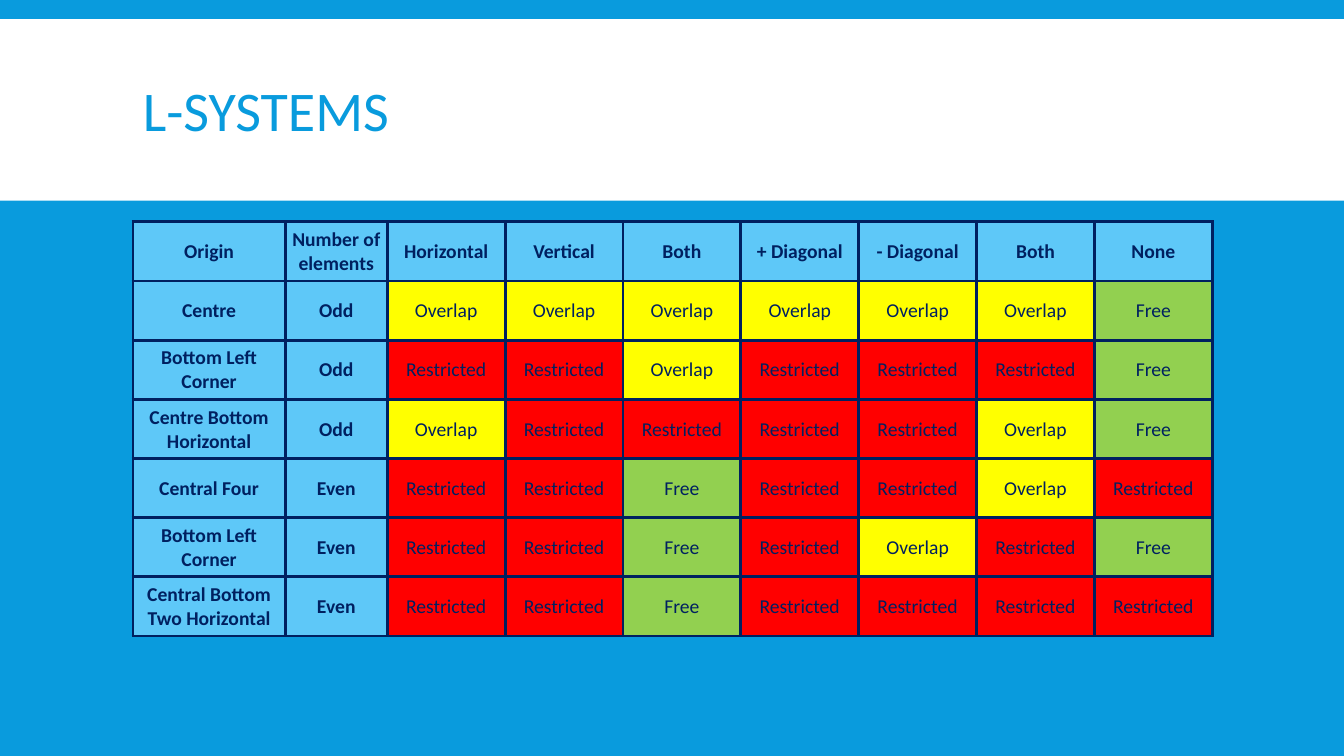
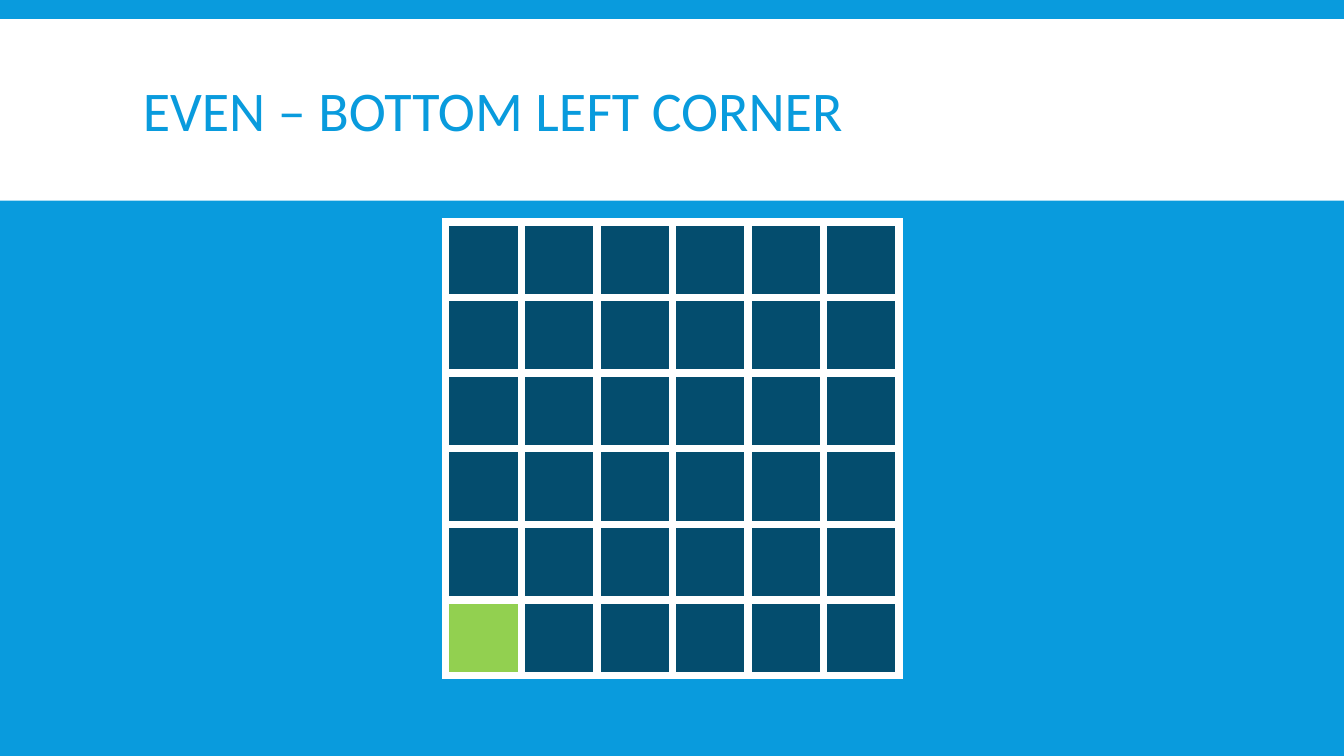
from lxml.etree import SubElement
from pptx import Presentation
from pptx.dml.color import RGBColor
from pptx.enum.shapes import MSO_SHAPE
from pptx.enum.text import MSO_ANCHOR, PP_ALIGN
from pptx.oxml.ns import qn
from pptx.util import Cm, Pt

BLUE = RGBColor(0x09, 0x9B, 0xDD)
LIGHT_BLUE = RGBColor(0x5E, 0xC8, 0xF8)
DARK_BLUE = RGBColor(0x04, 0x4D, 0x6E)
NAVY = RGBColor(0x00, 0x20, 0x60)
WHITE = RGBColor(0xFF, 0xFF, 0xFF)
YELLOW = RGBColor(0xFF, 0xFF, 0x00)
RED = RGBColor(0xFF, 0x00, 0x00)
GREEN = RGBColor(0x92, 0xD0, 0x50)
FONT = "Calibri"

LEFT, CONTENT_WIDTH, TABLE_TOP = Cm(3.35), Cm(27.18), Cm(5.59)

deck = Presentation()
deck.slide_width, deck.slide_height = Cm(33.87), Cm(19.05)


def add_page(title):
    """Add a blue page with a white title band."""
    page = deck.slides.add_slide(deck.slide_layouts[6])
    page.background.fill.solid()
    page.background.fill.fore_color.rgb = BLUE

    band = page.shapes.add_shape(MSO_SHAPE.RECTANGLE, 0, Cm(0.48), deck.slide_width, Cm(4.58))
    band.shadow.inherit = False
    band.fill.solid()
    band.fill.fore_color.rgb = WHITE
    band.line.fill.background()

    box = page.shapes.add_textbox(LEFT, Cm(0.79), CONTENT_WIDTH, Cm(4.19))
    box.text_frame.word_wrap = True
    box.text_frame.vertical_anchor = MSO_ANCHOR.MIDDLE
    para = box.text_frame.paragraphs[0]
    para.text = title
    para.line_spacing = 0.85
    para.font.name, para.font.size, para.font.color.rgb = FONT, Pt(40), BLUE
    return page


def style_cell(cell, fill, border, width):
    """Draw all four borders of a cell, then fill it."""
    properties = cell._tc.get_or_add_tcPr()
    for side in ("a:lnL", "a:lnR", "a:lnT", "a:lnB"):
        line = SubElement(properties, qn(side), w=str(width))
        SubElement(SubElement(line, qn("a:solidFill")), qn("a:srgbClr"), val=str(border))
    cell.fill.solid()
    cell.fill.fore_color.rgb = fill


# Slide 1: table of symmetry results by origin
HEADER = ["Origin", "Number of elements", "Horizontal", "Vertical", "Both",
          "+ Diagonal", "- Diagonal", "Both", "None"]
RESULTS = {"O": ("Overlap", YELLOW), "R": ("Restricted", RED), "F": ("Free", GREEN)}
ORIGINS = [
    ("Centre", "Odd", "OOOOOOF"),
    ("Bottom Left Corner", "Odd", "RRORRRF"),
    ("Centre Bottom Horizontal", "Odd", "ORRRROF"),
    ("Central Four", "Even", "RRFRROR"),
    ("Bottom Left Corner", "Even", "RRFRORF"),
    ("Central Bottom Two Horizontal", "Even", "RRFRRRR"),
]
rows = [[(label, LIGHT_BLUE) for label in HEADER]]
for origin, parity, codes in ORIGINS:
    rows.append([(origin, LIGHT_BLUE), (parity, LIGHT_BLUE)] + [RESULTS[code] for code in codes])

page = add_page("L-SYSTEMS")
table = page.shapes.add_table(len(rows), len(HEADER), LEFT, TABLE_TOP, CONTENT_WIDTH, Cm(10.44)).table
table.first_row = table.horz_banding = False
for column, width in zip(table.columns, [3.84, 2.57] + [2.97] * 7):
    column.width = Cm(width)
for row, values in zip(table.rows, rows):
    for cell, (label, fill) in zip(row.cells, values):
        style_cell(cell, fill, NAVY, Pt(2.25))
        cell.margin_left = cell.margin_right = cell.margin_top = Cm(0.02)
        cell.margin_bottom = 0
        cell.vertical_anchor = MSO_ANCHOR.MIDDLE
        para = cell.text_frame.paragraphs[0]
        para.text = label
        para.alignment = PP_ALIGN.CENTER
        span = para.runs[0]
        span.font.name, span.font.size, span.font.color.rgb = FONT, Pt(14), NAVY
        span.font.bold = fill == LIGHT_BLUE

# Slide 2: even grid with its bottom left cell marked
GRID_COUNT, GRID_SIZE = 6, Cm(11.43)
page = add_page("EVEN – BOTTOM LEFT CORNER")
grid = page.shapes.add_table(GRID_COUNT, GRID_COUNT, Cm(11.23), TABLE_TOP, GRID_SIZE, GRID_SIZE).table
grid.first_row = grid.horz_banding = False
for cell in grid.iter_cells():
    style_cell(cell, DARK_BLUE, WHITE, Pt(6))
corner = grid.cell(GRID_COUNT - 1, 0)
corner.fill.fore_color.rgb = GREEN

deck.save("out.pptx")
